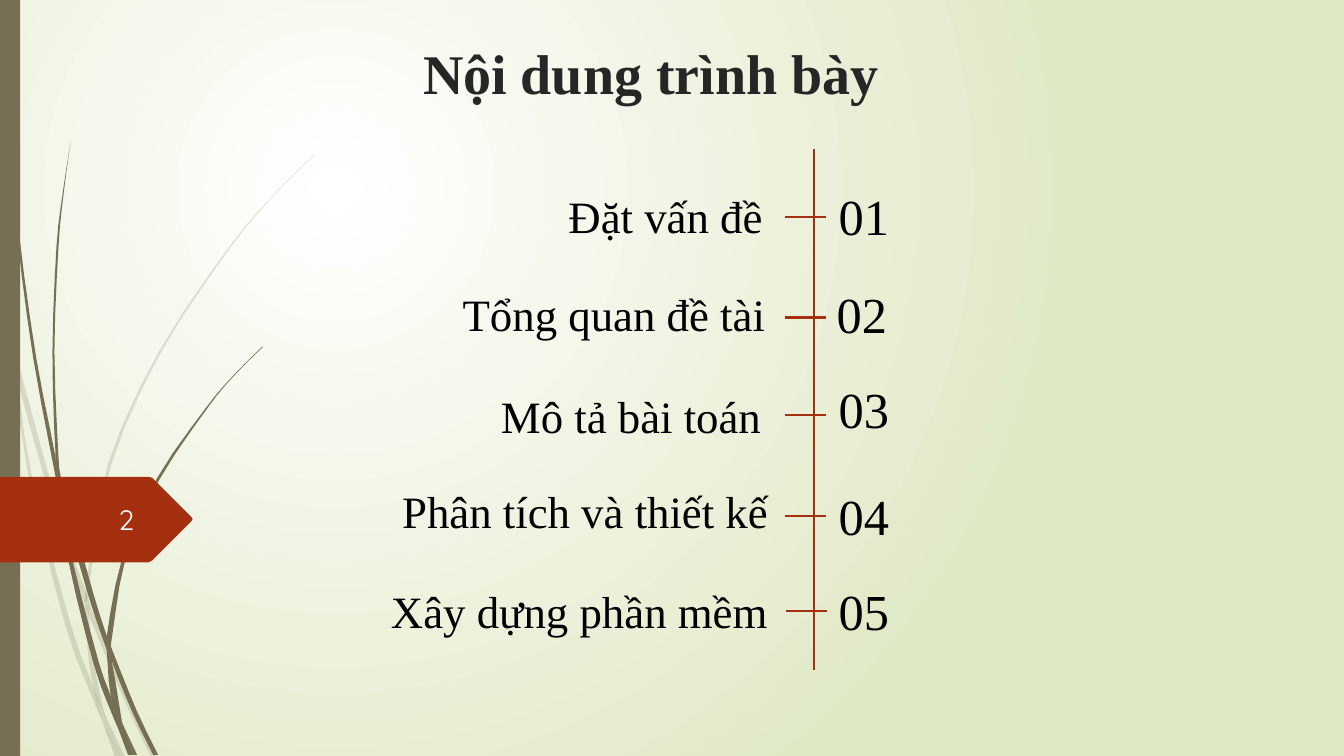
"""Build the agenda slide: five numbered topics along a vertical line, with grass stalks at the left."""
from pptx import Presentation
from pptx import util as u
from pptx.dml.color import RGBColor
from pptx.enum import shapes, text
from pptx.oxml import ns, parse_xml

COLORS = {"olive": "766F54", "rust": "A53010", "heading": "262626", "body": "000000",
          "number": "FEFFFF", "center": "FFFFFF", "edge": "DFE8C4"}
SERIF = "Times New Roman"

deck = Presentation()
deck.slide_width, deck.slide_height = u.Inches(13.33), u.Inches(7.5)
slide = deck.slides.add_slide(deck.slide_layouts[6])


def write(words, left, top, width, height, size, color="body", font=SERIF, bold=False,
          align=text.PP_ALIGN.LEFT, anchor=text.MSO_ANCHOR.TOP):
    frame = slide.shapes.add_textbox(*map(u.Inches, (left, top, width, height))).text_frame
    frame.word_wrap = True
    frame.vertical_anchor = anchor
    paragraph = frame.paragraphs[0]
    paragraph.alignment = align
    run = paragraph.add_run()
    run.text = words
    run.font.size, run.font.name, run.font.bold = u.Pt(size), font, bold
    run.font.color.rgb = RGBColor.from_string(COLORS[color])


def smooth(knots, steps=3):
    if len(knots) < 3:
        return knots
    padded = [knots[0], *knots, knots[-1]]
    curve = []
    for a, b, c, d in zip(padded, padded[1:], padded[2:], padded[3:]):
        for t in (step / steps for step in range(steps)):
            curve.append(tuple(
                b[i] + t * (c[i] - a[i]) / 2
                + t ** 2 * (2 * a[i] - 5 * b[i] + 4 * c[i] - d[i]) / 2
                + t ** 3 * (3 * b[i] - a[i] - 3 * c[i] + d[i]) / 2 for i in (0, 1)))
    return curve + [knots[-1]]


backdrop = slide.background.fill
backdrop.gradient()
for stop, color in zip(backdrop.gradient_stops, ("center", "edge")):
    stop.color.rgb = RGBColor.from_string(COLORS[color])
gradient = slide.element.find(".//" + ns.qn("a:gradFill"))
gradient.replace(gradient.find(ns.qn("a:lin")), parse_xml(
    f'<a:path {ns.nsdecls("a")} path="circle">'
    '<a:fillToRect l="50000" t="50000" r="100000" b="100000"/></a:path>'))

pale_blades = [
    ([(0, 2.82), (0.09, 3.22), (0.11, 3.5)], [(0, 2.99), (0.1, 3.44), (0.11, 3.5)]),
    ([(0.14, 3.45), (0.62, 5.2), (0.85, 5.86)],
     [(0.14, 3.45), (0.17, 3.76), (0.58, 5.22), (0.84, 5.99)]),
    ([(0.88, 5.96), (0.92, 6.07), (1.27, 6.92), (1.55, 7.51)],
     [(0.88, 6.1), (1.23, 6.94), (1.5, 7.51)]),
    ([(1.05, 7.11), (1.24, 7.51)], [(1.05, 7.11), (1.19, 7.51)]),
    ([(0.11, 3.5), (0.17, 3.76), (0.31, 4.69), (0.7, 6.19), (0.93, 6.83), (0.99, 7.07)],
     [(0.11, 3.5), (0.28, 4.7), (0.65, 6.21), (0.92, 6.93), (1.01, 7.14)]),
    ([(0.84, 5.99), (0.88, 6.08), (0.91, 6.46), (1.03, 7.06), (1.05, 7.11)],
     [(0.84, 5.99), (0.87, 6.46), (0.93, 6.83), (1.05, 7.11)]),
    ([(3.12, 1.53), (2.89, 1.75), (2.68, 1.97), (2.28, 2.44), (1.58, 3.48), (1.07, 4.61),
      (0.85, 5.84), (0.88, 5.96)],
     [(3.12, 1.54), (2.9, 1.75), (2.68, 1.98), (2.29, 2.45), (1.6, 3.49), (1.1, 4.62),
      (0.88, 5.84), (0.88, 5.96)]),
    ([(1.01, 7.14), (1.19, 7.51)], [(1.01, 7.14), (1.14, 7.51)]),
    ([(0.85, 5.86), (0.88, 5.96), (0.88, 6.1)], [(0.84, 5.99), (0.88, 6.08)]),
    ([(0.93, 6.83), (1.05, 7.11), (1.19, 7.51)], [(0.93, 6.83), (1.01, 7.14), (1.19, 7.51)]),
]
dark_blades = [
    ([(0.04, 0), (0.05, 0.48), (0.08, 1.09), (0.19, 2.32), (0.36, 3.55), (0.55, 4.53),
      (0.57, 4.81)],
     [(0.03, 0), (0.04, 0.48), (0.07, 1.1), (0.17, 2.33), (0.33, 3.55), (0.56, 4.77)]),
    ([(0.6, 4.72), (0.93, 5.9), (1.06, 6.31)],
     [(0.6, 4.72), (0.64, 5.05), (0.88, 5.92), (1.06, 6.45)]),
    ([(1.1, 6.41), (1.13, 6.49), (1.36, 7.06), (1.57, 7.49)],
     [(1.1, 6.41), (1.11, 6.56), (1.32, 7.08), (1.52, 7.49)]),
    ([(0.57, 4.77), (0.64, 5.05), (0.72, 5.56), (0.98, 6.57), (1.1, 6.91), (1.17, 7.22)],
     [(0.57, 4.77), (0.68, 5.57), (0.93, 6.59), (1.11, 7.08), (1.17, 7.22)]),
    ([(0.7, 1.41), (0.63, 1.93), (0.58, 2.45), (0.54, 3.49), (0.58, 4.53), (0.6, 4.72)],
     [(0.7, 1.41), (0.62, 1.93), (0.56, 2.45), (0.52, 3.49), (0.55, 4.49), (0.6, 4.72)]),
    ([(1.22, 7.19), (1.36, 7.49)], [(1.22, 7.19), (1.33, 7.49)]),
    ([(0.55, 4.49), (0.6, 4.72), (0.64, 5.05)], [(0.55, 4.53), (0.57, 4.77), (0.64, 5.05)]),
    ([(2.6, 3.44), (2.31, 3.73), (2.04, 4.05), (1.56, 4.74), (1.22, 5.51), (1.06, 6.31),
      (1.1, 6.41)],
     [(2.61, 3.44), (2.31, 3.74), (2.05, 4.06), (1.58, 4.76), (1.25, 5.52), (1.11, 6.33),
      (1.1, 6.41)]),
    ([(1.17, 7.22), (1.31, 7.49)], [(1.17, 7.22), (1.27, 7.49)]),
    ([(1.06, 6.45), (1.11, 6.56), (1.21, 7.16), (1.22, 7.19)],
     [(1.06, 6.45), (1.1, 6.91), (1.22, 7.19)]),
    ([(1.06, 6.31), (1.1, 6.41), (1.11, 6.56)], [(1.06, 6.31), (1.06, 6.45), (1.11, 6.56)]),
    ([(1.1, 6.91), (1.22, 7.19), (1.33, 7.49)], [(1.1, 6.91), (1.17, 7.22), (1.3, 7.49)]),
]
side_bar = [(0, 0), (0.2, 0), (0.2, 7.5), (0, 7.5)]
page_tag = [(0, 4.73), (1.47, 4.73), (1.51, 4.74), (1.9, 5.13), (1.91, 5.15), (1.9, 5.17),
            (1.51, 5.56), (1.47, 5.58), (0, 5.58)]
decor = [(smooth(near) + smooth(far)[::-1], "olive", opacity)
         for blades, opacity in ((pale_blades, 20), (dark_blades, 100)) for near, far in blades]
decor += [(side_bar, "olive", 100), (page_tag, "rust", 100)]

for outline, color, opacity in decor:
    points = [(u.Inches(x), u.Inches(y)) for x, y in outline]
    if outline is side_bar:
        piece = slide.shapes.add_shape(shapes.MSO_SHAPE.RECTANGLE, *points[0], *points[2])
    else:
        builder = slide.shapes.build_freeform(*points[0])
        builder.add_line_segments(points[1:], close=True)
        piece = builder.convert_to_shape()
    piece.shadow.inherit = False
    piece.fill.solid()
    piece.fill.fore_color.rgb = RGBColor.from_string(COLORS[color])
    piece.line.fill.background()
    if opacity < 100:
        tint = piece.element.spPr.find(".//" + ns.qn("a:srgbClr"))
        tint.append(parse_xml(f'<a:alpha {ns.nsdecls("a")} val="{opacity * 1000}"/>'))

write("Nội dung trình bày", 1.65, 0.09, 9.61, 1.01, 40, "heading", bold=True,
      align=text.PP_ALIGN.CENTER, anchor=text.MSO_ANCHOR.BOTTOM)
write("2", 0.58, 4.95, 0.85, 0.4, 20, "number", "Quicksand",
      align=text.PP_ALIGN.RIGHT, anchor=text.MSO_ANCHOR.MIDDLE)

topics = [
    ("Đặt vấn đề", 5.54, 1.82, 2.53, 8.22, 1.79, 8.19, 2.15),
    ("Tổng quan đề tài", 4.49, 2.8, 3.58, 8.2, 2.76, 8.19, 3.15),
    ("Mô tả bài toán", 4.87, 3.81, 3.2, 8.22, 3.7, 8.19, 4.12),
    ("Phân tích và thiết kế", 3.89, 4.75, 4.17, 8.22, 4.76, 8.19, 5.12),
    ("Xây dựng phần mềm", 3.78, 5.74, 4.3, 8.22, 5.71, 8.2, 6.06),
]
rules = [(8.07, 1.48, 8.07, 6.65)]
for order, (topic, left, top, width, order_left, order_top, tick, tick_y) in enumerate(topics, 1):
    rules.append((tick, tick_y, tick - 0.4, tick_y))
    write(f"{order:02}", order_left, order_top, 1.11, 0.71, 36)
    write(topic, left, top, width, 0.64, 32)

for ends in rules:
    rule = slide.shapes.add_connector(shapes.MSO_CONNECTOR.STRAIGHT, *map(u.Inches, ends))
    rule.line.color.rgb = RGBColor.from_string(COLORS["rust"])
    rule.line.width = u.Pt(1.5)
    rule.element.spPr.append(parse_xml(f'<a:effectLst {ns.nsdecls("a")}/>'))

deck.save("out.pptx")
